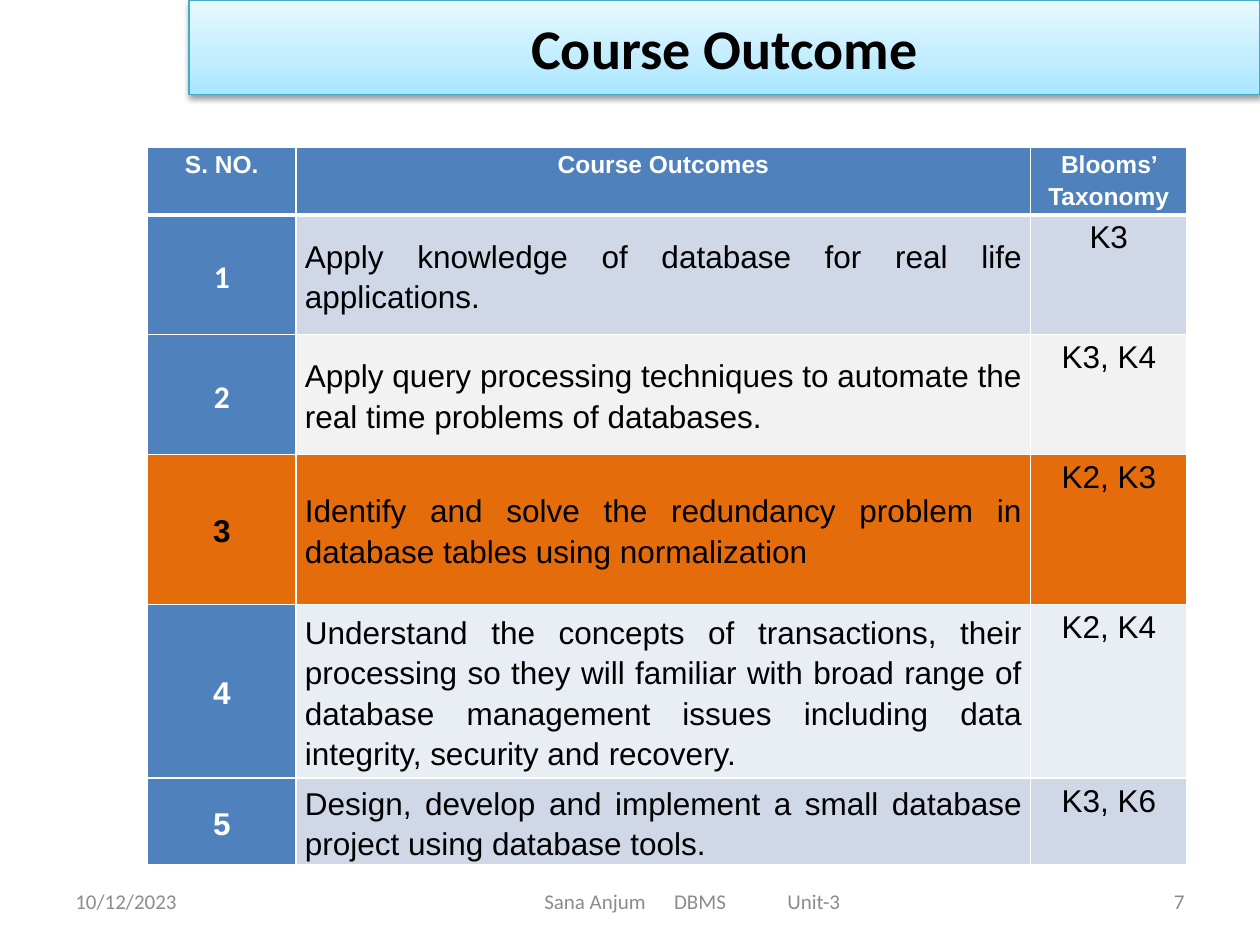
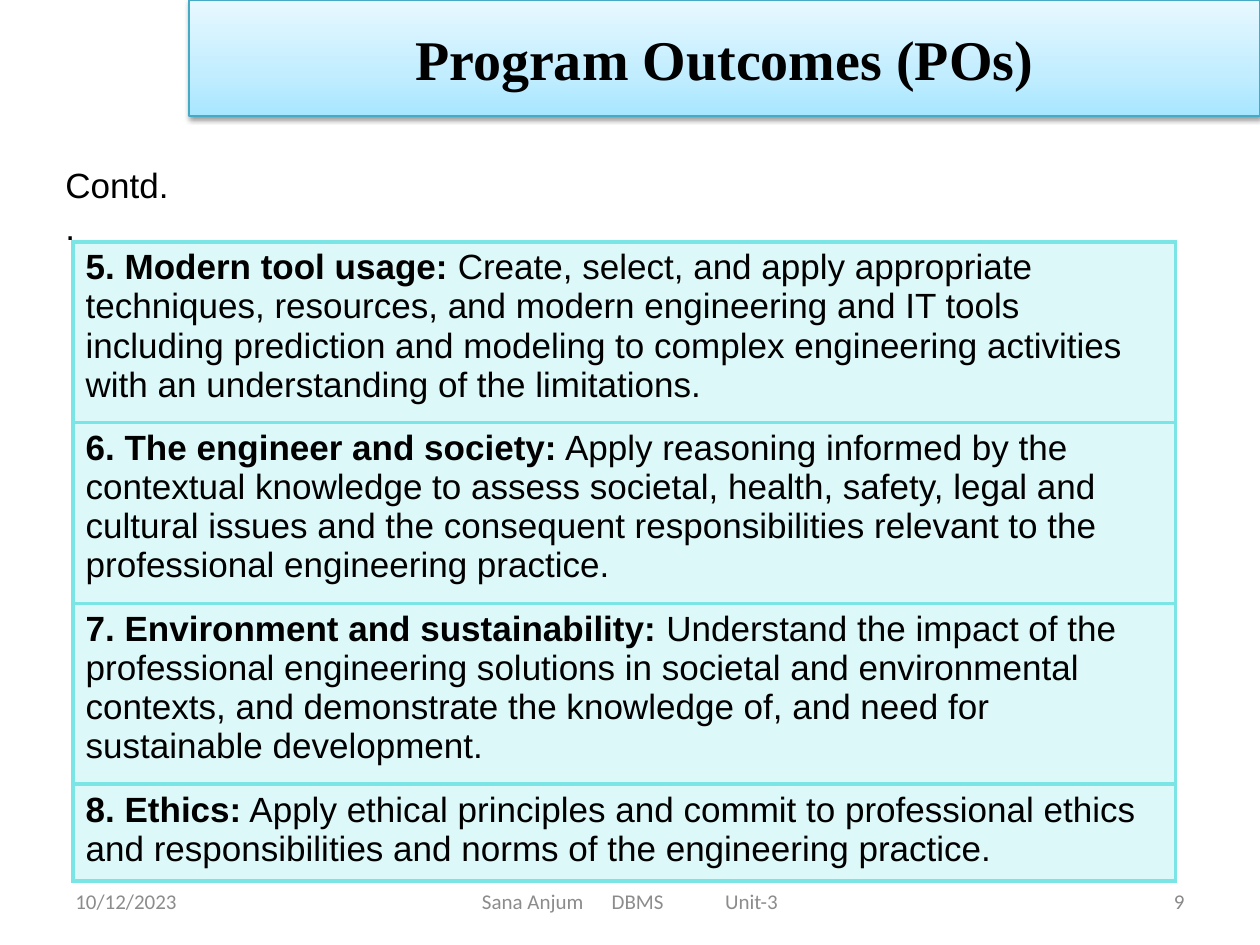
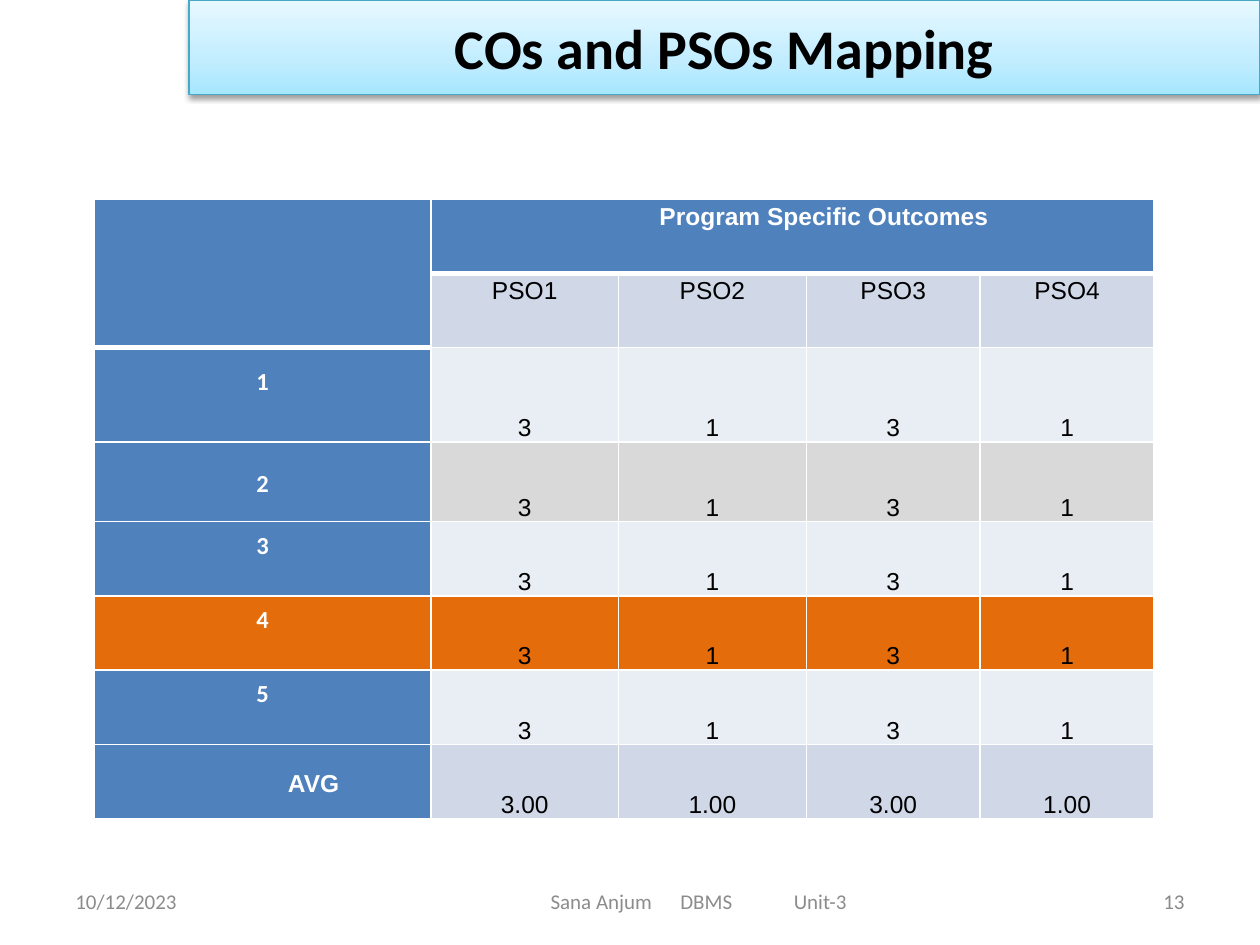
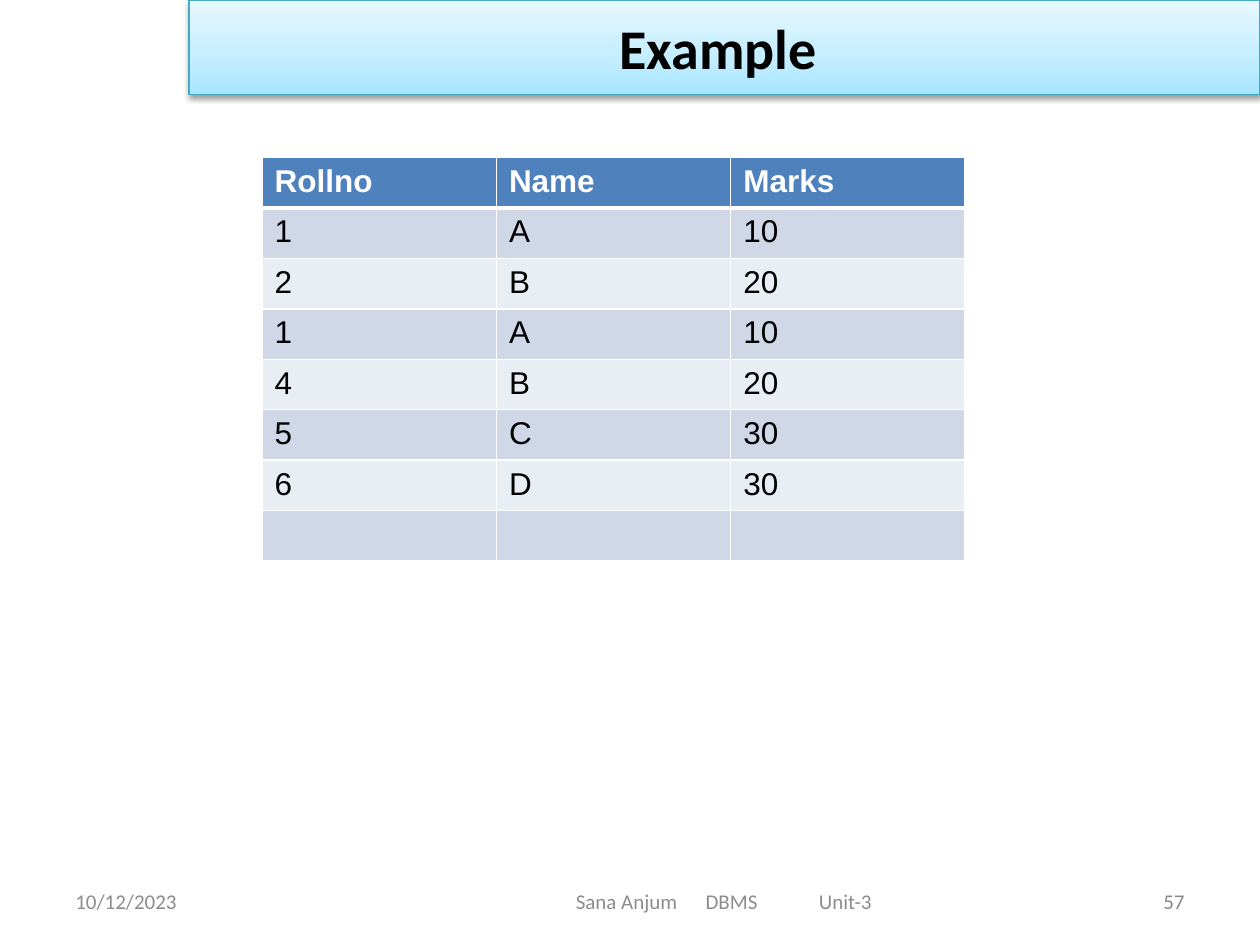
from pptx import Presentation
from pptx import util as u
from pptx.dml.color import RGBColor
from pptx.enum import shapes, text
from pptx.oxml import parse_xml

WIDTH, HEIGHT = 10, 7.5
WHITE, BLACK, GREY, PAGE_GREY = "FFFFFF", "000000", "8C8C8C", "898989"
BLUE, ORANGE, AQUA = "4F81BD", "E46C0A", "7BE5E5"
BAND_DARK, BAND_LIGHT = "D0D8E8", "E9EDF4"
LEFT, CENTER, RIGHT, JUSTIFY = (text.PP_ALIGN.LEFT, text.PP_ALIGN.CENTER,
                                text.PP_ALIGN.RIGHT, text.PP_ALIGN.JUSTIFY)
TOP, MIDDLE, BOTTOM = (text.MSO_ANCHOR.TOP, text.MSO_ANCHOR.MIDDLE,
                       text.MSO_ANCHOR.BOTTOM)
XMLNS = 'xmlns:a="http://schemas.openxmlformats.org/drawingml/2006/main"'

TITLE_GRADIENT = f"""<a:gradFill {XMLNS} rotWithShape="1"><a:gsLst>
<a:gs pos="0"><a:srgbClr val="A7E6FF"/></a:gs>
<a:gs pos="35000"><a:srgbClr val="C1EDFF"/></a:gs>
<a:gs pos="100000"><a:srgbClr val="E7F8FF"/></a:gs>
</a:gsLst><a:lin ang="16200000" scaled="1"/></a:gradFill>"""
TITLE_SHADOW = f"""<a:effectLst {XMLNS}>
<a:outerShdw blurRad="40000" dist="20000" dir="5400000" rotWithShape="0">
<a:srgbClr val="000000"><a:alpha val="38000"/></a:srgbClr></a:outerShdw></a:effectLst>"""
FOOTER_TABS = f"""<a:tabLst {XMLNS}><a:tab pos="{u.Inches(1.03)}" algn="l"/>
<a:tab pos="{u.Inches(1.93)}" algn="l"/></a:tabLst>"""
FOOTER_HALF = 1.18  # half the width of the footer's three words

# Cell styles
ROOMY = dict(size=18, margins=(0.1, 0.05))
TIGHT = dict(size=18, margins=(0.07, 0), align=CENTER, spacing=1.15)
HEAD = dict(bold=True, color=WHITE, fill=BLUE)
NUMBER = dict(HEAD, anchor=MIDDLE)
CALIBRI = dict(face="Calibri")
RAISED = dict(face="Calibri", margin_bottom=0.24)
SCORE = dict(anchor=BOTTOM)

pages = [
    dict(title="Course Outcome", number=7, footer=(2.75, 5.5), table=dict(
        at=(1.17, 1.17), columns=[1.18, 5.83, 1.24], base=TIGHT,
        head=dict(HEAD, size=14),
        by_column=[NUMBER, dict(align=JUSTIFY, anchor=MIDDLE), {}],
        special={(1, 0): CALIBRI, (2, 0): CALIBRI, (3, 0): dict(color=BLACK)},
        heavy=[(0, column) for column in range(3)],
        rows=[
            (0.53, BLUE, ["S. NO.", "Course Outcomes", "Blooms’ Taxonomy"]),
            (0.95, BAND_DARK, ["1", "Apply knowledge of database for real life applications.",
                               "K3"]),
            (0.95, "F2F2F2", ["2", "Apply query processing techniques to automate the real "
                              "time problems of databases.", "K3, K4"]),
            (1.19, ORANGE, ["3", "Identify and solve the redundancy problem in database "
                            "tables using normalization", "K2, K3"]),
            (1.38, BAND_LIGHT, ["4", "Understand the concepts of transactions, their "
                                "processing so they will familiar with broad range of "
                                "database management issues including data integrity, "
                                "security and recovery.", "K2, K4"]),
            (0.68, BAND_DARK, ["5", "Design, develop and implement a small database project "
                               "using database tools.", "K3, K6"]),
        ])),
    dict(title="Program Outcomes (POs)", title_face="Times New Roman", band=0.92,
         number=9, footer=(3.42, 3.17), note="Contd..", table=dict(
             at=(0.58, 1.92), columns=[8.75], base=dict(ROOMY, size=20, alpha=25),
             by_column=[{}], border=(AQUA, 2.25),
             rows=[
                 (1.43, AQUA, ["5. Modern tool usage: Create, select, and apply appropriate "
                               "techniques, resources, and modern engineering and IT tools "
                               "including prediction and modeling to complex engineering "
                               "activities with an understanding of the limitations."]),
                 (1.43, AQUA, ["6. The engineer and society: Apply reasoning informed by the "
                               "contextual knowledge to assess societal, health, safety, "
                               "legal and cultural issues and the consequent "
                               "responsibilities relevant to the professional engineering "
                               "practice."]),
                 (1.1, AQUA, ["7. Environment and sustainability: Understand the impact of "
                              "the professional engineering solutions in societal and "
                              "environmental contexts, and demonstrate the knowledge of, "
                              "and need for sustainable development."]),
                 (0.77, AQUA, ["8. Ethics: Apply ethical principles and commit to "
                               "professional ethics and responsibilities and norms of the "
                               "engineering practice."]),
             ])),
    dict(title="COs and PSOs Mapping", number=13, footer=(2.48, 6.14), table=dict(
        at=(0.75, 1.58), columns=[2.67, 1.49, 1.49, 1.38, 1.38],
        base=dict(TIGHT, size=14), head=dict(HEAD, indent=0.5),
        by_column=[NUMBER] + [SCORE] * 4,
        special={**{(1, column): dict(anchor=TOP) for column in range(1, 5)},
                 **{(row, 0): RAISED for row in (2, 4, 5, 6)},
                 (3, 0): CALIBRI, (7, 0): dict(indent=0.4, caps="small")},
        merges=[((0, 0), (1, 0)), ((0, 1), (0, 4))],
        heavy=[(1, 0)] + [(0, column) for column in range(1, 5)],
        rows=[
            (0.59, BLUE, ["", "Program Specific Outcomes", "", "", ""]),
            (0.59, BAND_DARK, ["", "PSO1", "PSO2", "PSO3", "PSO4"]),
            *[(height, fill, [str(number), "3", "1", "3", "1"])
              for number, (height, fill) in enumerate(
                  [(0.75, BAND_LIGHT), (0.63, "D9D9D9"), (0.59, BAND_LIGHT),
                   (0.59, ORANGE), (0.59, BAND_LIGHT)], 1)],
            (0.59, BAND_DARK, ["AVG", "3.00", "1.00", "3.00", "1.00"]),
        ])),
    dict(title="Example ", number=57, footer=(3, 5.5), table=dict(
        at=(2.08, 1.25), columns=[1.86] * 3, base=ROOMY, head=HEAD, by_column=[{}] * 3,
        heavy=[(0, column) for column in range(3)],
        rows=[(0.4, BLUE, ["Rollno", "Name", "Marks"])] + [
            (0.4, (BAND_DARK, BAND_LIGHT)[index % 2], cells)
            for index, cells in enumerate([
                ["1", "A", "10"], ["2", "B", "20"], ["1", "A", "10"], ["4", "B", "20"],
                ["5", "C", "30"], ["6", "D", "30"], ["", "", ""]])])),
]


def paint(fill, color):
    fill.solid()
    fill.fore_color.rgb = RGBColor.from_string(color)


def write(frame, words, size=18, color=BLACK, face="Arial", bold=False,
          align=LEFT, spacing=None, indent=0, caps=None):
    """Fill the frame's first paragraph; a lead that ends in a colon is bold."""
    box_para = frame.paragraphs[0]
    box_para.alignment = align
    box_para.line_spacing = spacing
    if indent:
        box_para._p.get_or_add_pPr().set("marL", str(u.Inches(indent)))
    lead, colon, rest = words.partition(":")
    for part, strong in [(lead + colon, bold or bool(colon)), (rest, bold)]:
        if part:
            span = box_para.add_run()
            span.text = part
            for name, value in dict(size=u.Pt(size), name=face, bold=strong).items():
                setattr(span.font, name, value)
            paint(span.font.fill, color)
            if caps:
                span._r.get_or_add_rPr().set("cap", caps)
    return box_para


deck = Presentation()
deck.slide_width, deck.slide_height = u.Inches(WIDTH), u.Inches(HEIGHT)

for content in pages:
    page = deck.slides.add_slide(deck.slide_layouts[6])

    # Footer: date, course, page number
    middle_left, middle_width = content["footer"]
    for left, width, words, color, align in [
            (0.5, 2.33, "10/12/2023", GREY, LEFT),
            (middle_left, middle_width, "Sana Anjum\tDBMS\tUnit-3", GREY, LEFT),
            (7.17, 2.33, str(content["number"]), PAGE_GREY, RIGHT)]:
        box = page.shapes.add_textbox(*map(u.Inches, (left, 6.95, width, 0.4)))
        frame = box.text_frame
        frame.word_wrap, frame.vertical_anchor = True, MIDDLE
        para = write(frame, words, 12, color, "Calibri", align=align)
        if "\t" in words:
            frame.margin_left = u.Inches(width / 2 - FOOTER_HALF)
            para._p.get_or_add_pPr().append(parse_xml(FOOTER_TABS))

    # Title band
    band = page.shapes.add_shape(
        shapes.MSO_SHAPE.RECTANGLE,
        *map(u.Inches, (0.15 * WIDTH, 0, 0.85 * WIDTH, content.get("band", 0.75))))
    paint(band.line.fill, "46AAC5")
    band.line.width = u.Pt(0.75)
    properties = band._element.spPr
    properties.insert(2, parse_xml(TITLE_GRADIENT))
    properties.append(parse_xml(TITLE_SHADOW))
    band.text_frame.vertical_anchor = MIDDLE
    write(band.text_frame, content["title"], 32, BLACK,
          content.get("title_face", "Calibri"), True, CENTER)

    if "note" in content:
        note = page.shapes.add_textbox(*map(u.Inches, (0.42, 1.25, 1.02, 0.44)))
        note.text_frame.word_wrap = True
        write(note.text_frame, content["note"], 20)

    # Table
    plan = content["table"]
    columns, rows = plan["columns"], plan["rows"]
    line_color, line_width = plan.get("border", (WHITE, 1))
    heavy = plan.get("heavy", [])
    table = page.shapes.add_table(
        len(rows), len(columns), *map(u.Inches, plan["at"]), u.Inches(sum(columns)),
        u.Inches(sum(height for height, _, _ in rows))).table
    table.first_row = table.horz_banding = False
    for column, width in zip(table.columns, columns):
        column.width = u.Inches(width)
    for first, last in plan.get("merges", []):
        table.cell(*first).merge(table.cell(*last))

    for r, (height, row_fill, cells) in enumerate(rows):
        table.rows[r].height = u.Inches(height)
        for c, words in enumerate(cells):
            cell = table.cell(r, c)
            look = plan["head"] if r == 0 and "head" in plan else plan["by_column"][c]
            style = {**plan["base"], **look, **plan.get("special", {}).get((r, c), {})}
            side, edge = style.pop("margins")
            for name, value in dict(
                    margin_left=side, margin_right=side, margin_top=edge,
                    margin_bottom=style.pop("margin_bottom", edge)).items():
                setattr(cell, name, u.Inches(value))
            cell.vertical_anchor = style.pop("anchor", TOP)

            cell_properties = cell._tc.get_or_add_tcPr()
            top = 3 if (r - 1, c) in heavy else line_width
            bottom = 3 if (r, c) in heavy else line_width
            for name, width in dict(L=line_width, R=line_width, T=top, B=bottom).items():
                cell_properties.append(parse_xml(
                    f'<a:ln{name} {XMLNS} w="{u.Pt(width)}"><a:solidFill>'
                    f'<a:srgbClr val="{line_color}"/></a:solidFill></a:ln{name}>'))

            own_fill = style.pop("fill", row_fill)
            paint(cell.fill, ORANGE if row_fill == ORANGE else own_fill)
            alpha = style.pop("alpha", None)
            if alpha:
                cell_properties.find(".//{*}solidFill/..", None)
                cell_properties[-1][0].append(
                    parse_xml(f'<a:alpha {XMLNS} val="{alpha * 1000}"/>'))
            if words:
                write(cell.text_frame, words, **style)

deck.save("out.pptx")
